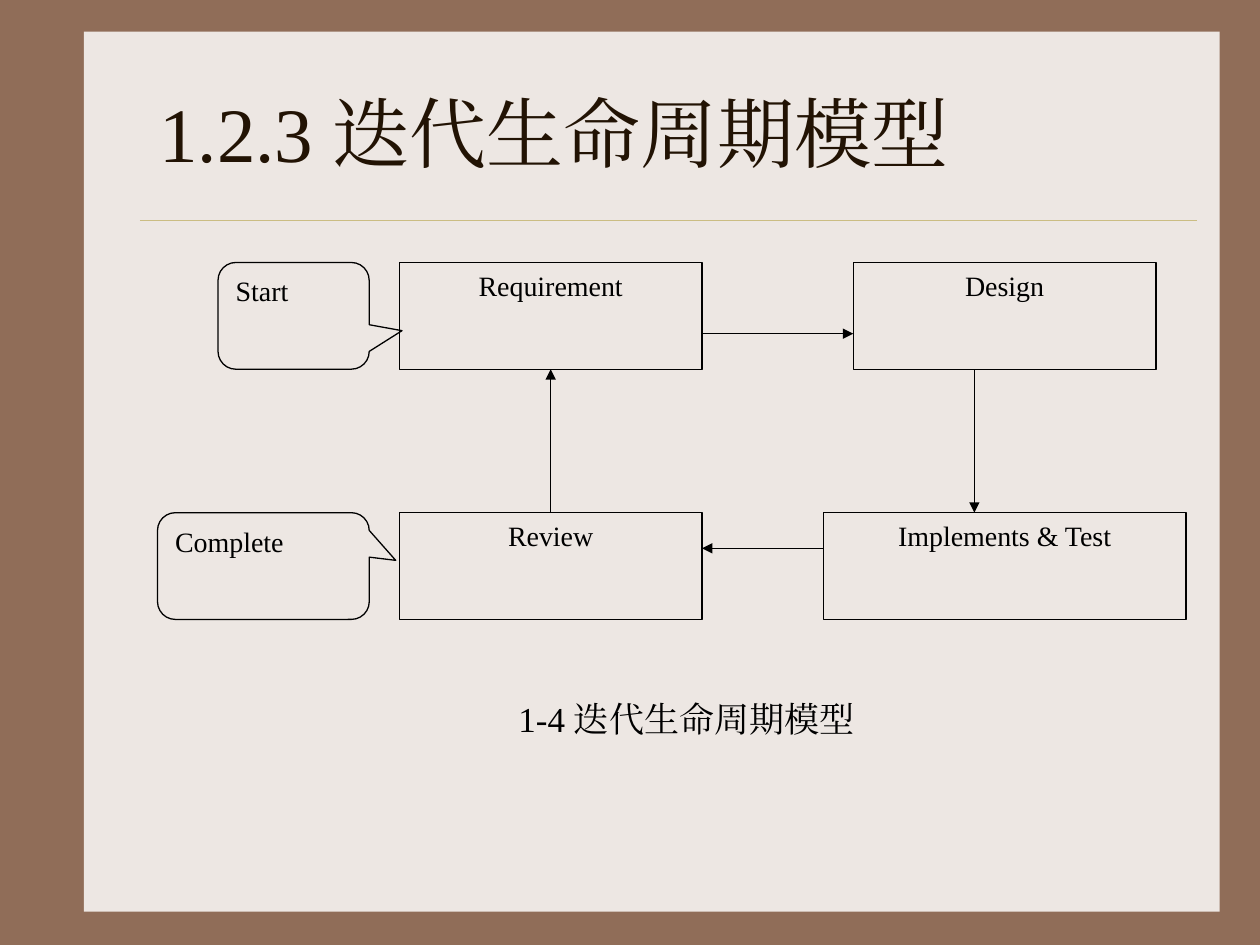
from dataclasses import dataclass

from pptx import Presentation
from pptx.dml.color import RGBColor
from pptx.enum.shapes import MSO_CONNECTOR, MSO_SHAPE
from pptx.enum.text import MSO_ANCHOR, PP_ALIGN
from pptx.oxml.ns import qn
from pptx.util import Pt
from lxml.etree import SubElement


@dataclass(frozen=True)
class Theme:
    frame: RGBColor = RGBColor(0x90, 0x6D, 0x58)
    panel: RGBColor = RGBColor(0xED, 0xE7, 0xE3)
    rule: RGBColor = RGBColor(0xCB, 0xBD, 0x83)
    heading: RGBColor = RGBColor(0x22, 0x13, 0x04)
    ink: RGBColor = RGBColor(0, 0, 0)
    font: str = "Times New Roman"
    title_size: int = 44
    caption_size: int = 20
    label_size: int = 16
    stroke: float = 0.75
    hairline: float = 0.25


THEME = Theme()


def write(shape, text, size=THEME.label_size, color=THEME.ink,
          align=PP_ALIGN.CENTER, anchor=MSO_ANCHOR.TOP):
    frame = shape.text_frame
    frame.word_wrap = True
    frame.vertical_anchor = anchor
    paragraph = frame.paragraphs[0]
    paragraph.alignment = align
    run = paragraph.add_run()
    run.text = text
    run.font.size = Pt(size)
    run.font.name = THEME.font
    run.font.color.rgb = color
    SubElement(run.font._element, qn("a:ea"), typeface=THEME.font)


def add_text(slide, box, text, **style):
    write(slide.shapes.add_textbox(*map(Pt, box)), text, **style)


def add_node(slide, box, text, kind=MSO_SHAPE.RECTANGLE, **style):
    """Outlined, unfilled shape with a label."""
    node = slide.shapes.add_shape(kind, *map(Pt, box))
    node.shadow.inherit = False
    node.fill.background()
    node.line.color.rgb = THEME.ink
    node.line.width = Pt(THEME.stroke)
    write(node, text, **style)
    return node


def add_line(slide, start, end, color=THEME.ink, width=THEME.stroke, arrow=True):
    line = slide.shapes.add_connector(
        MSO_CONNECTOR.STRAIGHT, *map(Pt, (*start, *end)))
    line.line.color.rgb = color
    line.line.width = Pt(width)
    if arrow:
        SubElement(line.line._get_or_add_ln(), qn("a:tailEnd"), type="triangle")
    SubElement(line._element.spPr, qn("a:effectLst"))
    return line


def add_backdrop(slide, box):
    slide.background.fill.solid()
    slide.background.fill.fore_color.rgb = THEME.frame
    panel = slide.shapes.add_shape(MSO_SHAPE.RECTANGLE, *map(Pt, box))
    panel.shadow.inherit = False
    panel.fill.solid()
    panel.fill.fore_color.rgb = THEME.panel
    panel.line.fill.background()


def add_heading(slide, box, text):
    left, top, width, height = box
    rule_y = top + height + 6
    add_line(slide, (left - 4, rule_y), (left + width, rule_y),
             color=THEME.rule, width=THEME.hairline, arrow=False)
    add_text(slide, box, text, size=THEME.title_size, color=THEME.heading,
             align=PP_ALIGN.LEFT, anchor=MSO_ANCHOR.MIDDLE)


def add_cycle(slide, box):
    """Four-step loop with its entry and exit callouts and a caption."""
    left, top, width, height = box
    node_w, node_h, wide_w = 173, 61, 207.4
    first_x = left + 138.2
    wide_x = left + width - wide_w
    design_x = wide_x + (wide_w - node_w) / 2
    callout_right = first_x - 17.2
    lower = top + 143

    requirement = add_node(slide, (first_x, top, node_w, node_h), "Requirement")
    add_node(slide, (design_x, top, node_w, node_h), "Design")
    review = add_node(slide, (first_x, lower, node_w, node_h), "Review")
    add_node(slide, (wide_x, lower, wide_w, node_h), "Implements & Test")

    first_right = first_x + node_w
    forward_y, back_y = top + node_h * 2 / 3, lower + node_h / 3
    down_x = design_x + node_w * 0.4
    add_line(slide, (first_right, forward_y), (design_x, forward_y))
    add_line(slide, (down_x, top + node_h), (down_x, lower))
    add_line(slide, (wide_x, back_y), (first_right, back_y))
    middle_x = first_x + node_w / 2
    repeat = add_line(slide, (middle_x, lower), (middle_x, top + node_h))
    repeat.begin_connect(review, 0)
    repeat.end_connect(requirement, 2)

    for text, y, callout_w, pointer in (
            ("Start", top, 86.4, (0.717, 0.139)),
            ("Complete", lower, 121, (0.625, -0.053))):
        callout = add_node(
            slide, (callout_right - callout_w, y, callout_w, node_h), text,
            kind=MSO_SHAPE.ROUNDED_RECTANGULAR_CALLOUT, align=PP_ALIGN.JUSTIFY)
        for index, value in enumerate((*pointer, 0.167)):
            callout.adjustments[index] = value

    add_text(slide, (left + 190, top + height - node_h, 224.6, node_h),
             "1-4 迭代生命周期模型", size=THEME.caption_size)


def main():
    deck = Presentation()
    deck.slide_width, deck.slide_height = Pt(720), Pt(540)
    slide = deck.slides.add_slide(deck.slide_layouts[6])
    add_backdrop(slide, (48, 18, 649, 503))
    add_heading(slide, (84, 30, 600, 90), "1.2.3 迭代生命周期模型")
    add_cycle(slide, (90, 150, 587.8, 306))
    deck.save("out.pptx")


if __name__ == "__main__":
    main()
